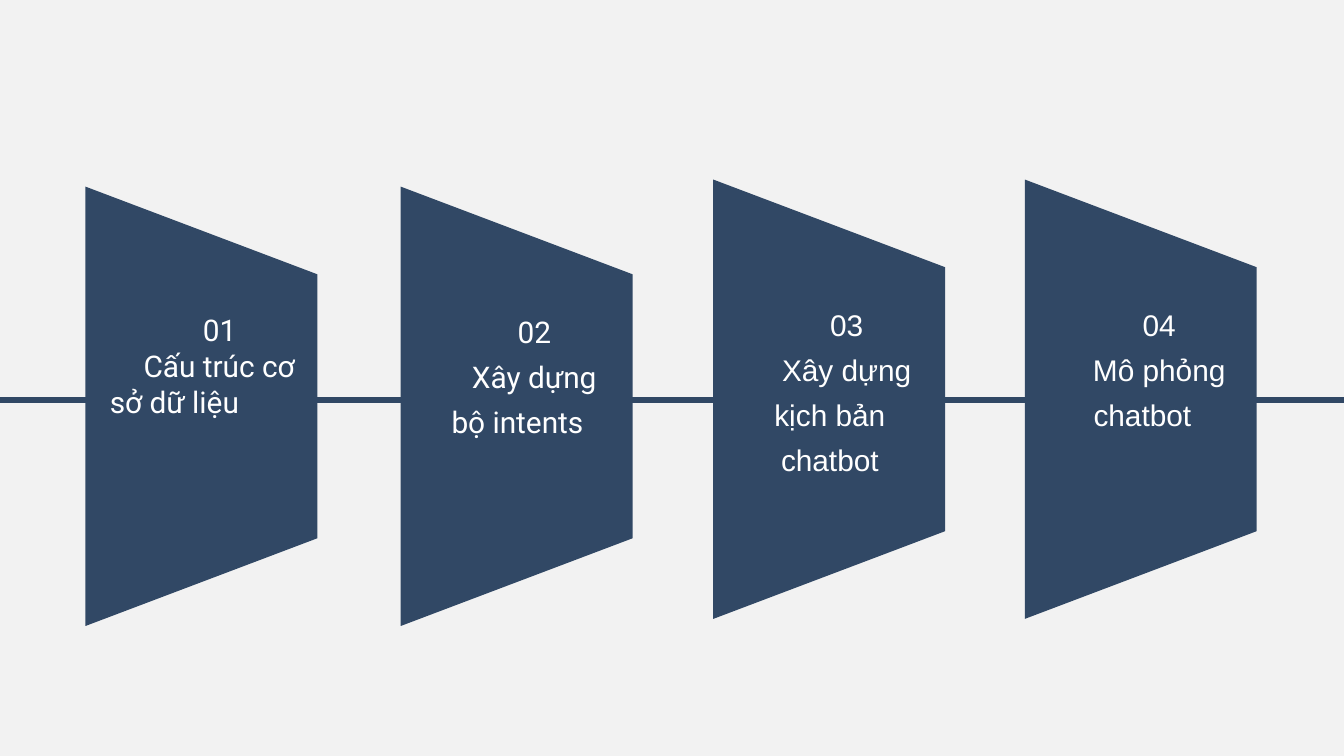
import pptx
import pptx.dml.color
import pptx.enum.shapes
import pptx.enum.text
import pptx.oxml.ns
import pptx.util
from lxml import etree

Pt = pptx.util.Pt
RGB = pptx.dml.color.RGBColor
ALIGN = pptx.enum.text.PP_ALIGN

NAVY = RGB(0x31, 0x48, 0x65)
GREY = RGB(0xF2, 0xF2, 0xF2)
WHITE = RGB(0xFF, 0xFF, 0xFF)

WIDTH, HEIGHT = 720, 405
PANEL_W, PANEL_H, SLANT = 124.2, 235.4, 47
INDENT = 18


def add_line(slide, y):
    line = slide.shapes.add_connector(
        pptx.enum.shapes.MSO_CONNECTOR.STRAIGHT, Pt(0), Pt(y), Pt(WIDTH), Pt(y))
    line.line.color.rgb = NAVY
    line.line.width = Pt(3)
    etree.SubElement(line._element.spPr, pptx.oxml.ns.qn("a:effectLst"))


def add_panel(group, left, top):
    right, bottom = left + PANEL_W, top + PANEL_H
    pen = group.shapes.build_freeform(Pt(left), Pt(bottom))
    pen.add_line_segments([
        (Pt(left), Pt(top)),
        (Pt(right), Pt(top + SLANT)),
        (Pt(right), Pt(bottom - SLANT)),
    ], close=True)
    panel = pen.convert_to_shape()
    panel.shadow.inherit = False
    panel.fill.solid()
    panel.fill.fore_color.rgb = NAVY
    panel.line.fill.background()


def add_text(para, text, *, font, size=16, color=WHITE, align=ALIGN.CENTER, space=None):
    props = para._p.get_or_add_pPr()
    props.set("marL", "0")
    props.set("indent", str(Pt(INDENT)))
    para.alignment = align
    para.line_spacing = space
    run = para.add_run()
    run.text = text
    run.font.name = font
    run.font.size = Pt(size)
    run.font.color.rgb = color


def add_step(slide, number, left, top, box, title, font, align=ALIGN.CENTER, space=1.25):
    group = slide.shapes.add_group_shape()
    add_panel(group, left, top)
    label = group.shapes.add_textbox(*map(Pt, box))
    frame = label.text_frame
    frame.word_wrap = True
    frame.auto_size = pptx.enum.text.MSO_AUTO_SIZE.SHAPE_TO_FIT_TEXT
    add_text(frame.paragraphs[0], f"{number:02}", font=font, space=space)
    add_text(frame.add_paragraph(), title, font=font, align=align, space=space)


def main():
    deck = pptx.Presentation()
    deck.slide_width, deck.slide_height = Pt(WIDTH), Pt(HEIGHT)
    slide = deck.slides.add_slide(deck.slide_layouts[6])
    slide.background.fill.solid()
    slide.background.fill.fore_color.rgb = GREY

    add_line(slide, 214.4)
    add_step(slide, 1, 45.8, 100, (51.8, 163.4, 113.8, 65.5),
             "Cấu trúc cơ sở dữ liệu", "Roboto", align=ALIGN.LEFT, space=None)
    add_step(slide, 2, 214.7, 100, (220.3, 159.8, 113.8, 80),
             "Xây dựng bộ intents", "Roboto")
    add_step(slide, 3, 382.1, 96.2, (386.6, 156.2, 116, 104.4),
             "Xây dựng kịch bản chatbot", "Arial")
    add_step(slide, 4, 549, 96.2, (553, 156.2, 118, 77.8),
             "Mô phỏng chatbot", "Arial")
    deck.save("out.pptx")


if __name__ == "__main__":
    main()
